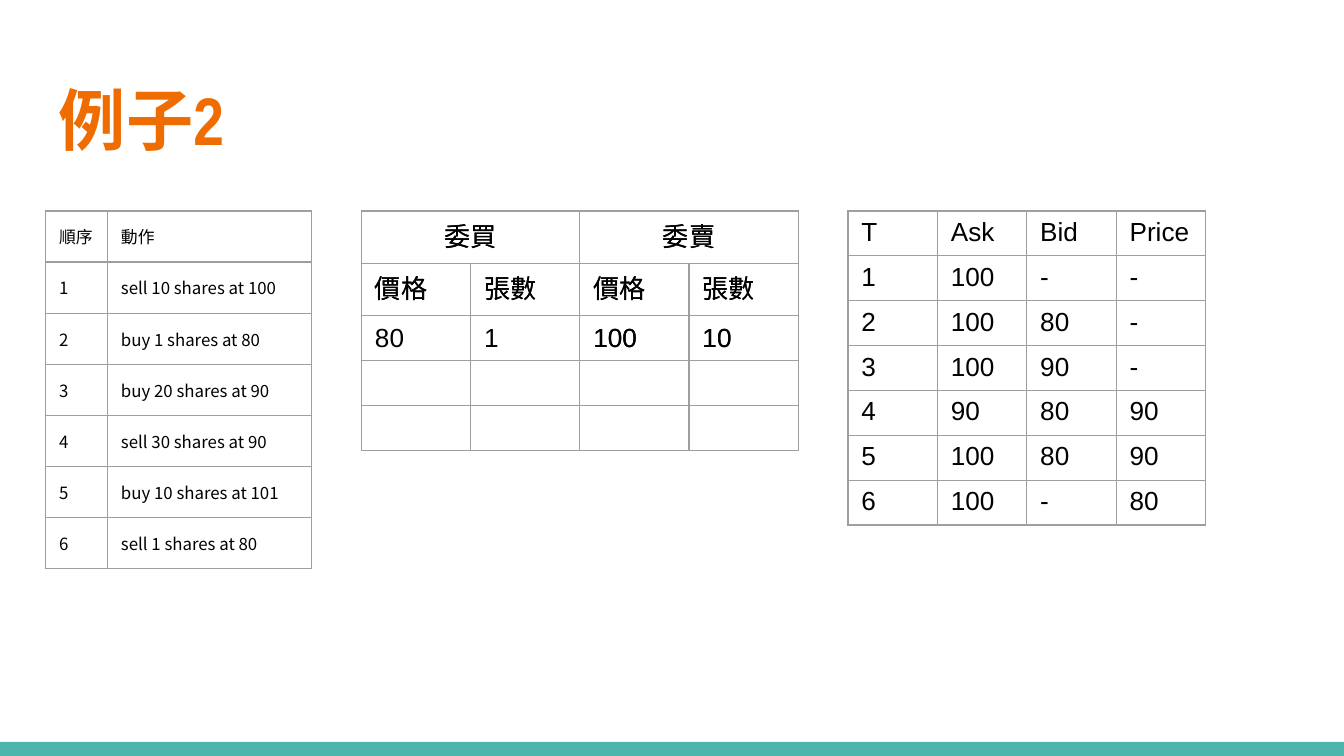
import lxml.etree
import pptx
import pptx.dml.color
import pptx.enum.shapes
import pptx.enum.text
import pptx.oxml.ns
import pptx.util

Inches = pptx.util.Inches
Pt = pptx.util.Pt
Align = pptx.enum.text.PP_ALIGN
Anchor = pptx.enum.text.MSO_ANCHOR
TABLE_TOP = 1.57
ACTIONS = [
    "sell 10 shares at 100",
    "buy 1 shares at 80",
    "buy 20 shares at 90",
    "sell 30 shares at 90",
    "buy 10 shares at 101",
    "sell 1 shares at 80",
]
QUOTES = [
    ["T", "Ask", "Bid", "Price"],
    ["1", "100", "-", "-"],
    ["2", "100", "80", "-"],
    ["3", "100", "90", "-"],
    ["4", "90", "80", "90"],
    ["5", "100", "80", "90"],
]
BLANK_ROW = [""] * 4


def color(value):
    """Return the RGB colour for a hex string."""
    return pptx.dml.color.RGBColor.from_string(value)


def add_child(parent, tag, **attributes):
    """Append a DrawingML element with attributes."""
    return lxml.etree.SubElement(parent, pptx.oxml.ns.qn(tag), **attributes)


def write(frame, text, size=14, font="Arial", fill="000000", bold=False,
          align=Align.LEFT, anchor=Anchor.TOP, margins=(0.1, 0.05)):
    """Fill a text frame or table cell with one formatted paragraph."""
    side, edge = margins
    frame.margin_left = frame.margin_right = Inches(side)
    frame.margin_top = frame.margin_bottom = Inches(edge)
    frame.vertical_anchor = anchor
    para = getattr(frame, "text_frame", frame).paragraphs[0]
    para.alignment = align
    if text:
        span = para.add_run()
        span.text = text
        span.font.size = Pt(size)
        span.font.name = font
        span.font.bold = bold
        span.font.color.rgb = color(fill)
        add_child(span.font._element, "a:ea", typeface=font)
    ending = add_child(para._p, "a:endParaRPr", sz=str(size * 100))
    for script in ("a:latin", "a:ea"):
        add_child(ending, script, typeface=font)


def outline(cell, line="9E9E9E", width=0.75):
    """Draw all four borders of a cell and leave it unfilled."""
    properties = cell._tc.get_or_add_tcPr()
    for side in ("a:lnL", "a:lnR", "a:lnT", "a:lnB"):
        border = add_child(properties, side, w=str(Pt(width)))
        add_child(add_child(border, "a:solidFill"), "a:srgbClr", val=line)
    cell.fill.background()


def add_grid(page, left, widths, heights, rows, header=None, **style):
    """Add a bordered table; header overrides the style of the first row."""
    table = page.shapes.add_table(
        len(rows), len(widths), Inches(left), Inches(TABLE_TOP),
        Inches(sum(widths)), Inches(sum(heights))).table
    table.first_row = table.horz_banding = False
    for column, width in zip(table.columns, widths):
        column.width = Inches(width)
    for index, (row, height, texts) in enumerate(zip(table.rows, heights, rows)):
        row.height = Inches(height)
        extra = (header or {}) if index == 0 else {}
        for cell, text in zip(row.cells, texts):
            write(cell, text, **{**style, **extra})
            outline(cell)
    return table


def add_order_book(page, orders, last_height):
    """Add the bid and ask order table with its paired headings."""
    rows = [["委買", "", "委賣", ""], ["價格", "張數"] * 2, orders, BLANK_ROW, BLANK_ROW]
    heights = [0.39, 0.39, 0.33, 0.33, last_height]
    table = add_grid(page, 2.69, [3.25 / 4] * 4, heights, rows,
                     header={"align": Align.CENTER}, anchor=Anchor.MIDDLE)
    for start in (0, 2):
        table.cell(0, start).merge(table.cell(0, start + 1))


def add_quotes(page, rows):
    """Add the table of quotes over time."""
    add_grid(page, 6.31, [2.66 / 4] * 4, [0.32] * len(rows), rows)


def add_footer_bar(page):
    """Add the coloured bar along the bottom edge."""
    bar = page.shapes.add_shape(pptx.enum.shapes.MSO_SHAPE.RECTANGLE,
                                Inches(0), Inches(5.52), Inches(10), Inches(0.11))
    bar.shadow.inherit = False
    bar.fill.solid()
    bar.fill.fore_color.rgb = color("4DB6AC")
    bar.line.fill.background()


def add_title(page, text):
    """Add the slide heading."""
    box = page.shapes.add_textbox(Inches(0.34), Inches(0.5), Inches(9.32), Inches(0.77))
    box.text_frame.word_wrap = True
    write(box.text_frame, text, size=36, font="Arial Narrow", fill="EF6C00",
          bold=True, anchor=Anchor.MIDDLE, margins=(0.1, 0.1))


def main():
    """Build and save the slide."""
    deck = pptx.Presentation()
    deck.slide_width, deck.slide_height = Inches(10), Inches(10 * 9 / 16)
    page = deck.slides.add_slide(deck.slide_layouts[6])
    add_footer_bar(page)
    add_title(page, "例子2")
    steps = [["順序", "動作"]]
    steps += [[str(number), action] for number, action in enumerate(ACTIONS, 1)]
    add_grid(page, 0.34, [0.46, 1.52], [0.38] * len(steps), steps,
             header={"anchor": Anchor.MIDDLE}, size=9, font="Noto Sans CJK TC",
             margins=(0.1, 0.1))
    add_order_book(page, ["80", "1", "100", "10"], 0.33)
    add_quotes(page, QUOTES + [["6", "", "", ""]])
    add_order_book(page, ["", "", "100", "10"], 0.32)
    add_quotes(page, [BLANK_ROW] * len(QUOTES) + [["", "100", "-", "80"]])
    deck.save("out.pptx")


if __name__ == "__main__":
    main()
